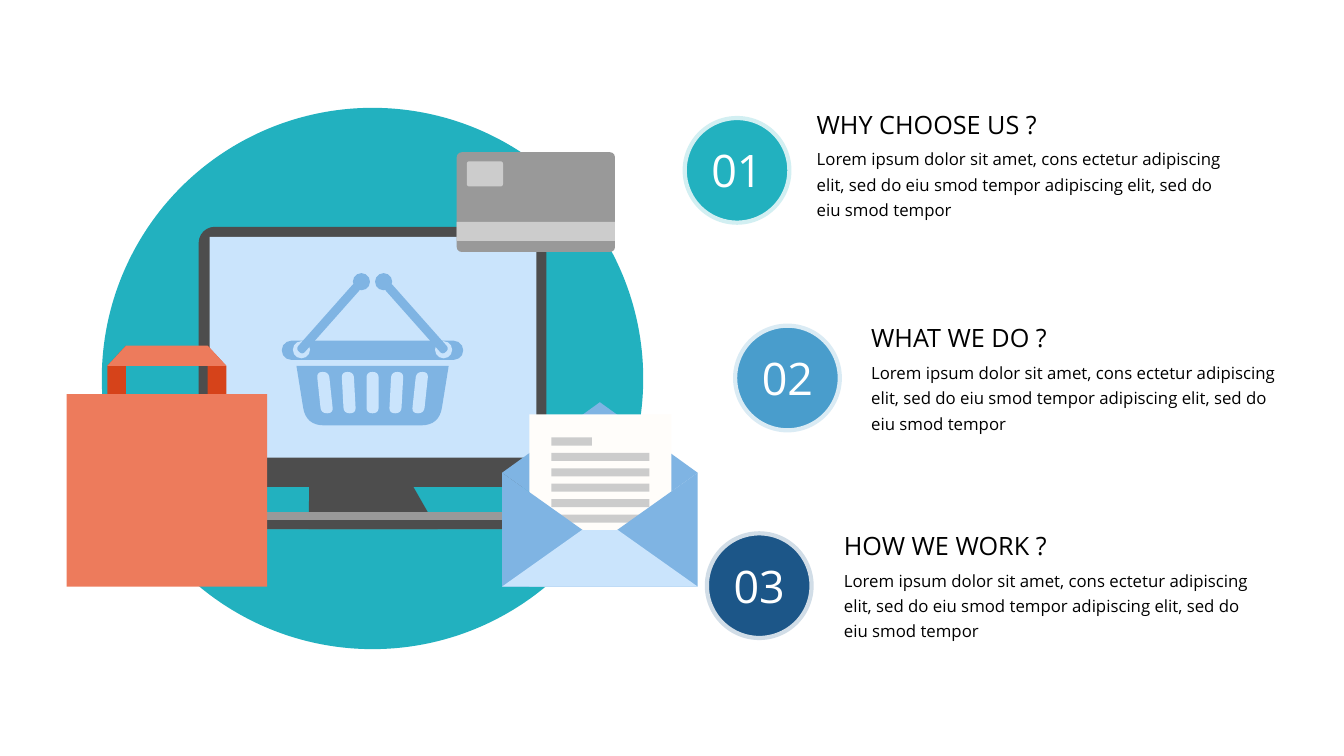
from dataclasses import dataclass
from math import dist

from lxml import etree
from pptx import Presentation
from pptx import util as u
from pptx.dml.color import RGBColor
from pptx.enum import shapes, text
from pptx.oxml.ns import qn

CELL = u.Inches(0.1)  # all lengths are columns and rows of this grid


@dataclass(frozen=True)
class Theme:
    font: str = "Open Sans"
    number_size: int = 32
    heading_size: int = 18
    body_size: int = 12
    white: str = "FFFFFF"
    black: str = "000000"
    teal: str = "22B1BF"
    blue: str = "499DCC"
    navy: str = "1C5688"
    dark_gray: str = "4D4D4D"
    gray: str = "999999"
    light_gray: str = "CCCCCC"
    sky: str = "7FB4E3"
    pale_sky: str = "CAE4FC"
    paper: str = "FFFDFA"
    coral: str = "ED7B5C"
    rust: str = "D6431A"


THEME = Theme()
RECT = shapes.MSO_SHAPE.RECTANGLE
OVAL = shapes.MSO_SHAPE.OVAL
ROUNDED = shapes.MSO_SHAPE.ROUNDED_RECTANGLE


@dataclass
class Box:
    """A region of the slide; parts are placed from its top left corner."""
    group: object
    left: float
    top: float
    width: float
    height: float

    def emu(self, x, y):
        return round((self.left + x) * CELL), round((self.top + y) * CELL)

    def add(self, kind, x, y, width, height, color, radius=None):
        shape = self.group.shapes.add_shape(
            kind, *self.emu(x, y), round(width * CELL), round(height * CELL))
        if radius is not None:
            shape.adjustments[0] = radius / min(width, height)
        return paint(shape, color)

    def outline(self, corners, color):
        """Draw a closed outline; a corner is (x, y) or (x, y, radius)."""
        points = [self.emu(*point) for point in round_corners(corners)]
        builder = self.group.shapes.build_freeform(*points[0], scale=1.0)
        builder.add_line_segments(points[1:], close=True)
        return paint(builder.convert_to_shape(), color)

    def add_text(self, words, x, y, width, height, *, size, color=THEME.black,
                 wrap=False, spacing=None, align=text.PP_ALIGN.LEFT):
        shape = self.group.shapes.add_textbox(
            *self.emu(x, y), round(width * CELL), round(height * CELL))
        frame = shape.text_frame
        frame.margin_left = frame.margin_right = 0
        frame.margin_top = frame.margin_bottom = 0
        frame.word_wrap = wrap
        frame.auto_size = text.MSO_AUTO_SIZE.SHAPE_TO_FIT_TEXT
        paragraph = frame.paragraphs[0]
        paragraph.text = words
        paragraph.alignment = align
        paragraph.line_spacing = spacing
        font = paragraph.runs[0].font
        font.name, font.size = THEME.font, u.Pt(size)
        font.color.rgb = RGBColor.from_string(color)


def paint(shape, color):
    shape.shadow.inherit = False
    shape.fill.solid()
    shape.fill.fore_color.rgb = RGBColor.from_string(color)
    shape.line.fill.background()
    return shape


def round_corners(corners, steps=8):
    points = []
    for i, (x, y, *radius) in enumerate(corners):
        if not radius:
            points.append((x, y))
            continue
        ends = []
        for other in (corners[i - 1], corners[(i + 1) % len(corners)]):
            share = radius[0] / dist((x, y), other[:2])
            ends.append((x + (other[0] - x) * share, y + (other[1] - y) * share))
        for step in range(steps + 1):
            t = step / steps
            points.append(tuple(
                (1 - t) ** 2 * start + 2 * t * (1 - t) * middle + t ** 2 * end
                for start, middle, end in zip(ends[0], (x, y), ends[1])))
    return points


def draw_monitor(box):
    box.outline([(13.7, 24.4), (23.2, 24.4), (26.4, 30), (13.6, 30)], THEME.dark_gray)
    box.add(ROUNDED, 2.7, 0, 34.5, 25.8, THEME.dark_gray, radius=1.6)
    # Foot, then screen
    box.add(RECT, 0, 28.3, box.width, 1.7, THEME.gray)
    box.add(RECT, 0, 29.1, box.width, 0.9, THEME.dark_gray)
    box.add(RECT, 3.8, 1, 32.4, 21.9, THEME.pale_sky)


def draw_basket(box):
    center = box.width / 2
    box.add(ROUNDED, 0, 6.7, box.width, 1.9, THEME.sky, radius=0.95)
    # Each side has a hinge hole, a knob and an arm
    for side in (-1, 1):
        box.add(OVAL, center + side * 7.05 - 0.85, 6.75, 1.7, 1.7, THEME.pale_sky)
        box.add(OVAL, center + side * 1.1 - 0.85, 0, 1.7, 1.7, THEME.sky)
        arm = [(1.1, 1.5), (1.75, 0.9), (7.6, 7.5), (6.95, 8.1)]
        box.outline([(center + side * x, y, 0.4) for x, y in arm], THEME.sky)
    # Body with five slots that lean inwards
    box.outline([(center - 7.55, 9.2), (center + 7.55, 9.2),
                 (center + 6.6, 15.1, 1.8), (center - 6.6, 15.1, 1.8)], THEME.sky)
    for column in range(-2, 3):
        upper, lower = center + column * 2.47, center + column * 2.25
        box.outline([(upper - 0.6, 9.8, 0.6), (upper + 0.6, 9.8, 0.6),
                     (lower + 0.6, 13.9, 0.6), (lower - 0.6, 13.9, 0.6)],
                    THEME.pale_sky)


def draw_envelope(box):
    width, height, middle = box.width, box.height, box.width / 2
    box.outline([(width, 7), (middle, 13.9), (0, 7), (middle, 0)], THEME.sky)
    # Letter with a short first line
    box.add(RECT, 2.7, 1.2, 14.1, 17.1, THEME.paper)
    for row in range(6):
        box.add(RECT, 4.9, 3.5 + 1.53 * row, 9.7 if row else 4, 0.8, THEME.light_gray)
    # Pocket and front flap
    box.outline([(0, height), (width, height), (width, 7), (middle, 13.9), (0, 7)],
                THEME.sky)
    box.outline([(0, height), (width, height), (middle + 1.8, 12.7),
                 (middle - 1.8, 12.7)], THEME.pale_sky)


def draw_card(box):
    box.add(ROUNDED, 0, 0, box.width, box.height, THEME.gray, radius=0.5)
    box.add(RECT, 0, 6.9, box.width, 1.9, THEME.light_gray)
    box.add(ROUNDED, 1, 0.9, 3.6, 2.5, THEME.light_gray, radius=0.25)


def draw_bag(box):
    center = box.width / 2
    # Handle sides and top
    for side in (-1, 1):
        inner, outer = center + side * 4.05, center + side * 5.9
        box.outline([(outer, 5.6), (inner, 5.6), (inner, 0), (outer, 2)], THEME.rust)
    box.outline([(center - 5.9, 2), (center - 4.05, 0), (center + 4.05, 0),
                 (center + 5.9, 2)], THEME.coral)
    box.add(RECT, 0, 4.8, box.width, 19.1, THEME.coral)


def draw_item(box, number, heading, body, color, text_left, text_top):
    badge = box.add(OVAL, 0, 0, box.width, box.height, color)
    badge.line.color.rgb = RGBColor.from_string(THEME.white)
    badge.line.width = u.Pt(6)
    ring = badge.element.find(f".//{qn('a:ln')}//{qn('a:srgbClr')}")
    etree.SubElement(ring, qn("a:alpha"), val="80000")
    box.add_text(number, 2.85, 2.7, 5.1, 5.4, size=THEME.number_size,
                 color=THEME.white, align=text.PP_ALIGN.CENTER)
    box.add_text(heading, text_left, text_top, 22, 3, size=THEME.heading_size)
    box.add_text(body, text_left, text_top + 3.5, 40.2, 7.4, size=THEME.body_size,
                 wrap=True, spacing=1.25)


def main():
    presentation = Presentation()
    presentation.slide_width = u.Inches(13.33)
    presentation.slide_height = u.Inches(7.5)
    slide = presentation.slides.add_slide(presentation.slide_layouts[6])

    # Shopping illustration
    scene = slide.shapes.add_group_shape()
    disc = Box(scene, 10.1, 10.7, 53.7, 53.7)
    disc.add(OVAL, 0, 0, disc.width, disc.height, THEME.teal)
    draw_monitor(Box(scene, 17, 22.5, 39.9, 30))
    draw_basket(Box(scene, 27.95, 27.1, 18, 15.1))
    draw_envelope(Box(scene, 49.8, 39.9, 19.4, 18.3))
    draw_card(Box(scene, 45.3, 15.1, 15.7, 9.9))
    draw_bag(Box(scene, 6.6, 34.3, 19.9, 23.9))

    # Numbered items
    body = ("Lorem ipsum dolor sit amet, cons ectetur adipiscing elit, sed do eiu "
            "smod tempor adipiscing elit, sed do eiu smod tempor")
    items = [("WHY CHOOSE US ?", THEME.teal, 67.7, 13.3, -0.7),
             ("WHAT WE DO ?", THEME.blue, 72.7, 13.7, -0.1),
             ("HOW WE WORK ?", THEME.navy, 69.9, 13.8, -0.1)]
    for row, (heading, color, left, text_left, text_top) in enumerate(items):
        box = Box(slide.shapes.add_group_shape(), left, 11.5 + 20.6 * row, 10.8, 10.8)
        draw_item(box, f"{row + 1:02}", heading, body, color, text_left, text_top)

    presentation.save("out.pptx")


if __name__ == "__main__":
    main()
